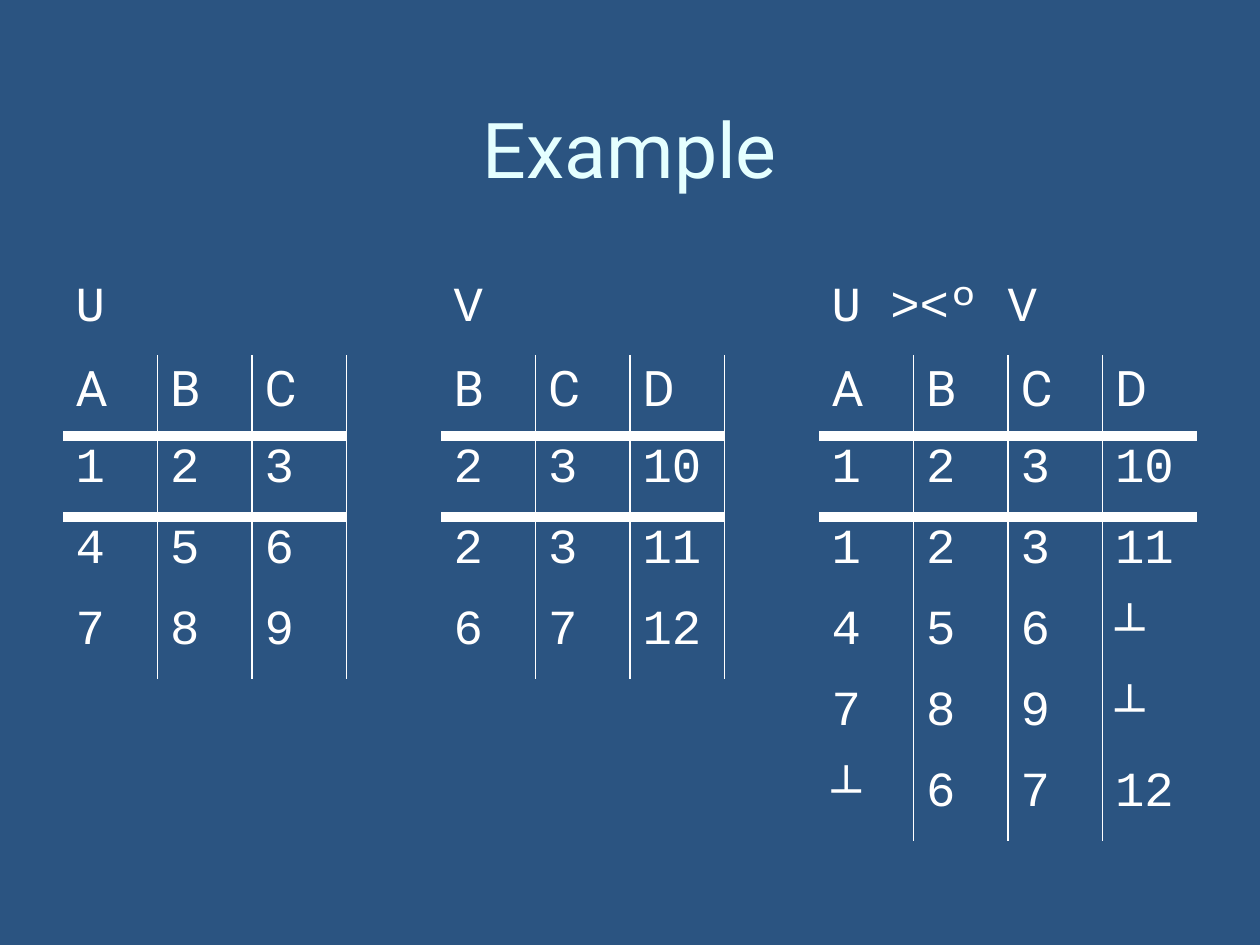
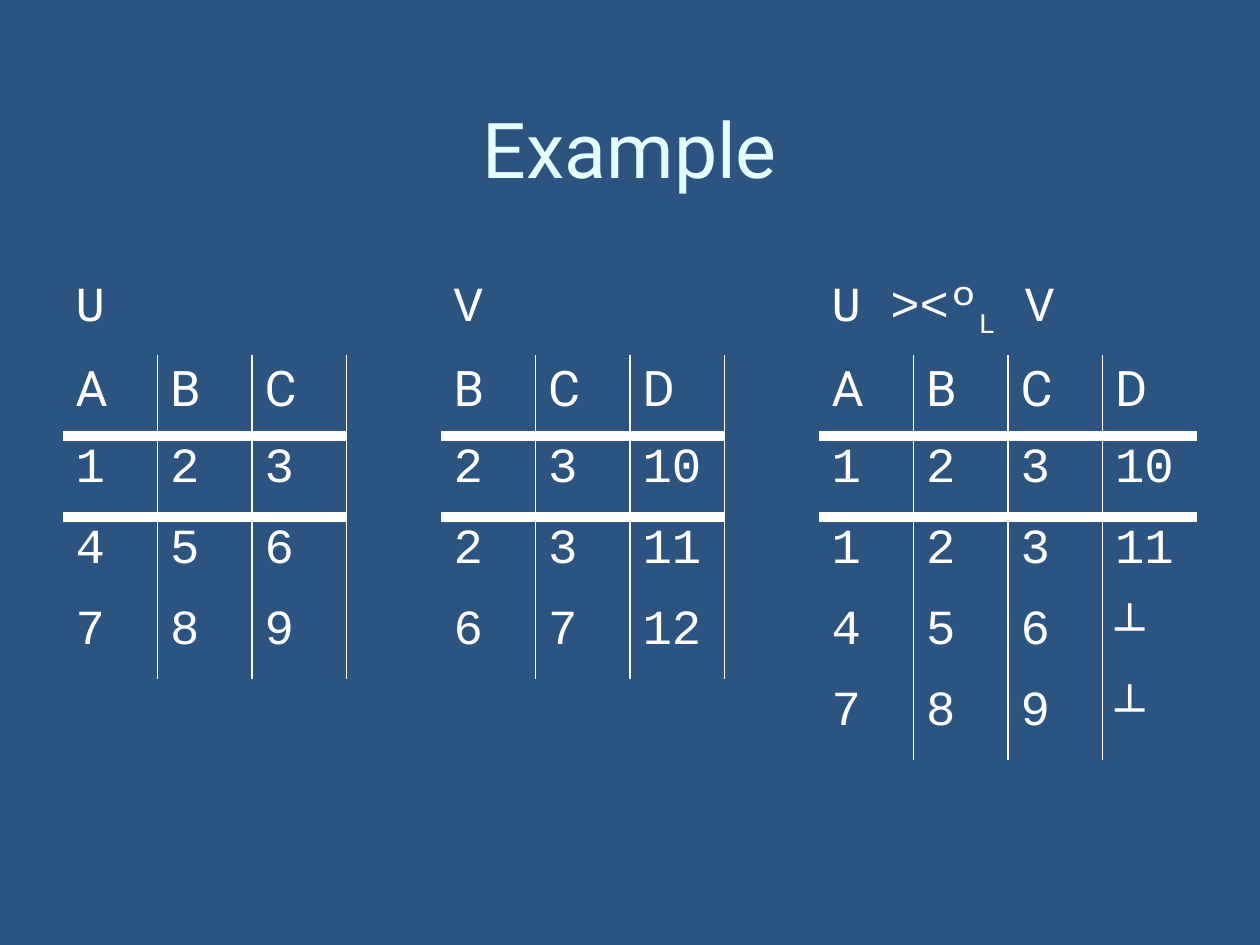
from lxml import etree
from pptx import Presentation
from pptx.dml.color import RGBColor
from pptx.enum.text import MSO_ANCHOR, PP_ALIGN
from pptx.oxml.ns import qn
from pptx.util import Inches, Pt

CENTER, LEFT = PP_ALIGN.CENTER, PP_ALIGN.LEFT
MIDDLE = MSO_ANCHOR.MIDDLE
COLORS = {"background": "2B5481", "title": "E5FFFF", "text": "FFFFFF", "rule": "FFFFFF"}
SANS, MONO = "Roboto", "Courier New"
NO_STYLE = "{2D5ABB26-0587-4C30-8999-92F81FD0307C}"
BLANK_LAYOUT = 6

WIDTH, HEIGHT = Inches(10), Inches(7.5)
MARGIN = int(WIDTH * 0.05)
COLUMNS = 12
COLUMN = int(WIDTH * 0.9 / COLUMNS)
ROW = int(HEIGHT * 0.6 / 7)
TITLE_TOP, TITLE_HEIGHT = int(HEIGHT * 0.056), int(HEIGHT * 0.2)
TABLE_TOP = int(HEIGHT * 0.29)
RELATION_STEP = 4
THIN, THICK = 1, 6

RELATION_U = ([("U", 0)], ["A B C", "1 2 3", "4 5 6", "7 8 9"])
RELATION_V = ([("V", 0)], ["B C D", "2 3 10", "2 3 11", "6 7 12"])
LEFT_JOIN_ROWS = ["A B C D", "1 2 3 10", "1 2 3 11", "4 5 6 ┴", "7 8 9 ┴"]
FULL_JOIN = ([("U ><º V", 0)], LEFT_JOIN_ROWS + ["┴ 6 7 12"])
LEFT_JOIN = ([("U ><º", 0), ("L", -25), (" V", 0)], LEFT_JOIN_ROWS)


def write(frame, text, size=28, font=MONO, color="text", align=LEFT, baseline=0):
    """Add a formatted span to the first paragraph of a text frame."""
    para = frame.paragraphs[0]
    para.alignment = align
    span = para.add_run()
    span.text = text
    span.font.size = Pt(size)
    span.font.name = font
    span.font.color.rgb = RGBColor.from_string(COLORS[color])
    if baseline:
        span.font._element.set("baseline", str(baseline * 1000))


def set_borders(cell, **widths):
    """Draw borders given in points by side, in the order L, R, T, B."""
    properties = cell._tc.get_or_add_tcPr()
    drawn = [(side, width) for side, width in widths.items() if width]
    for position, (side, width) in enumerate(drawn):
        line = etree.Element(qn(f"a:ln{side}"), w=str(Pt(width)))
        fill = etree.SubElement(line, qn("a:solidFill"))
        etree.SubElement(fill, qn("a:srgbClr"), val=COLORS["rule"])
        properties.insert(position, line)


deck = Presentation()
deck.slide_width, deck.slide_height = WIDTH, HEIGHT

for join in (FULL_JOIN, LEFT_JOIN):
    page = deck.slides.add_slide(deck.slide_layouts[BLANK_LAYOUT])
    page.background.fill.solid()
    page.background.fill.fore_color.rgb = RGBColor.from_string(COLORS["background"])

    title = page.shapes.add_textbox(MARGIN, TITLE_TOP, COLUMNS * COLUMN, TITLE_HEIGHT)
    title.text_frame.word_wrap = True
    title.text_frame.vertical_anchor = MIDDLE
    write(title.text_frame, "Example", size=44, font=SANS, color="title", align=CENTER)

    row_count = len(join[1]) + 1
    table = page.shapes.add_table(row_count, COLUMNS, MARGIN, TABLE_TOP,
                                  COLUMNS * COLUMN, row_count * ROW).table
    table.first_row = table.horz_banding = False
    table._tbl.tblPr.find(qn("a:tableStyleId")).text = NO_STYLE
    for cell in table.iter_cells():
        cell.fill.background()
    table.cell(0, 2 * RELATION_STEP).merge(table.cell(0, COLUMNS - 1))

    for index, (heading, rows) in enumerate((RELATION_U, RELATION_V, join)):
        first_column = index * RELATION_STEP
        for text, baseline in heading:
            write(table.cell(0, first_column).text_frame, text, baseline=baseline)
        for row, line in enumerate(rows, start=1):
            values = line.split()
            for column, value in enumerate(values):
                cell = table.cell(row, first_column + column)
                write(cell.text_frame, value, font=SANS if row == 1 else MONO)
                set_borders(cell,
                            L=THIN if column > 0 else 0,
                            R=THIN if column < len(values) - 1 else 0,
                            T=THICK if row == 2 else 0,
                            B=THICK if row == 1 else 0)

deck.save("out.pptx")
